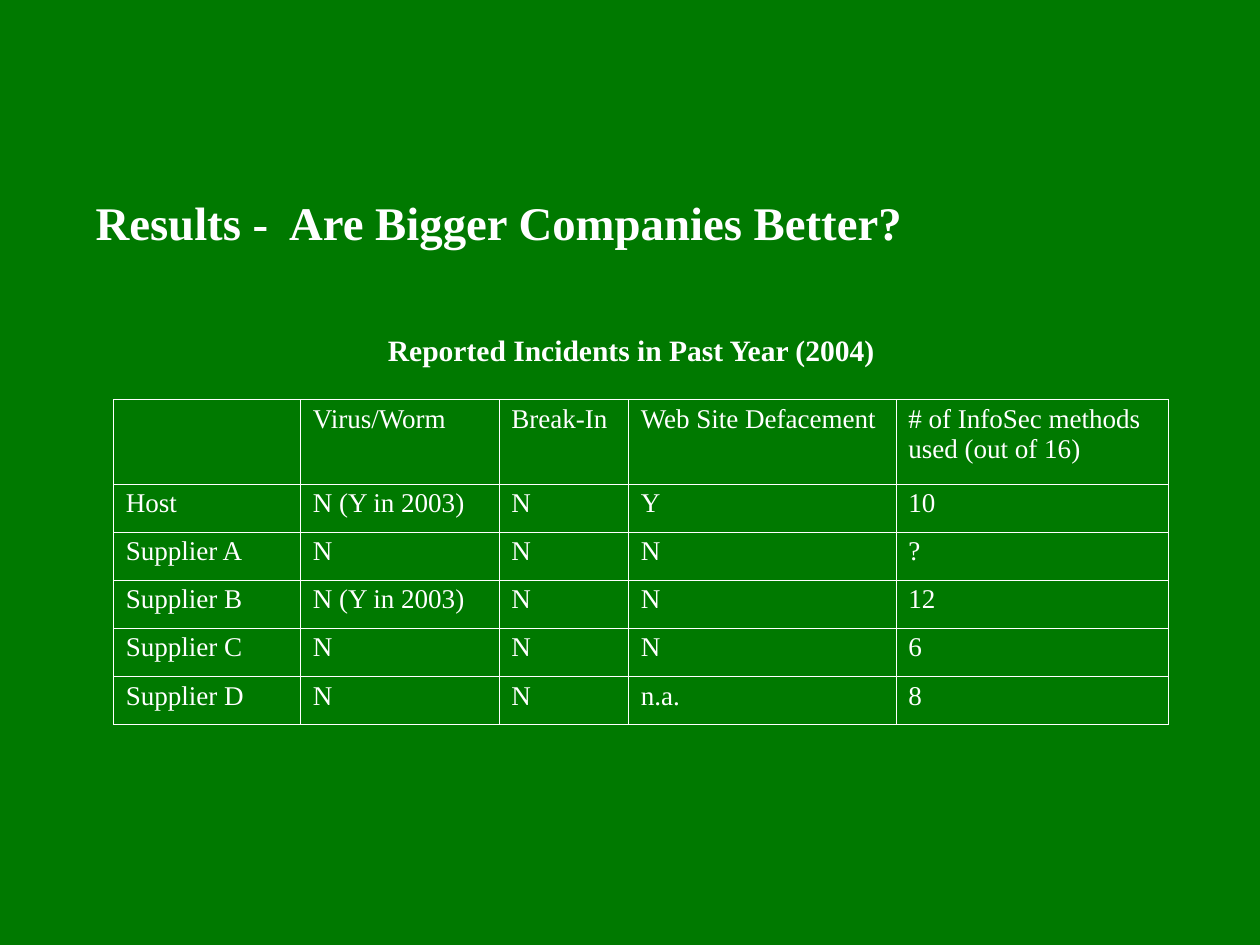
from dataclasses import dataclass

from lxml import etree
from pptx import Presentation
from pptx.dml.color import RGBColor
from pptx.enum.text import MSO_ANCHOR
from pptx.oxml.ns import qn
from pptx.slide import Slide
from pptx.table import _Cell
from pptx.text.text import TextFrame
from pptx.util import Cm, Pt

TOP = MSO_ANCHOR.TOP
FONT = "Times New Roman"
WHITE = "FFFFFF"
GREEN = "007900"
OUTER_LINE = Pt(1.08)
INNER_LINE = Pt(0.45)

COLUMN_WIDTHS = [5.36, 5.69, 3.71, 7.67, 7.82]
ROW_HEIGHTS = [2.41] + [1.38] * 5
INCIDENTS = [
    ["", "Virus/Worm", "Break-In", "Web Site Defacement", "# of InfoSec methods used (out of 16)"],
    ["Host", "N (Y in 2003)", "N", "Y", "10"],
    ["Supplier A", "N", "N", "N", "?"],
    ["Supplier B", "N (Y in 2003)", "N", "N", "12"],
    ["Supplier C", "N", "N", "N", "6"],
    ["Supplier D", "N", "N", "n.a.", "8"],
]


@dataclass
class Heading:
    text: str
    left: float
    top: float
    width: float
    height: float
    size: int


HEADINGS = [
    Heading("Results -  Are Bigger Companies Better?", 2.59, 5.44, 31.22, 1.93, 38),
    Heading("Reported Incidents in Past Year (2004)", 10.97, 9.42, 15.32, 1.37, 24),
]


def color(value: str) -> RGBColor:
    return RGBColor.from_string(value)


def write(frame: TextFrame, text: str, size: int, bold: bool) -> None:
    frame.text = text
    font = frame.paragraphs[0].font
    font.size = Pt(size)
    for span in frame.paragraphs[0].runs:
        span.font.name = FONT
        span.font.size = Pt(size)
        span.font.bold = bold
        span.font.color.rgb = color(WHITE)


def add_heading(page: Slide, heading: Heading) -> None:
    box = page.shapes.add_textbox(
        Cm(heading.left), Cm(heading.top), Cm(heading.width), Cm(heading.height)
    )
    frame = box.text_frame
    frame.word_wrap = True
    frame.vertical_anchor = TOP
    frame.margin_left = frame.margin_right = Cm(0.15)
    frame.margin_top = Cm(0.1)
    frame.margin_bottom = 0
    write(frame, heading.text, heading.size, True)


def add_borders(cell: _Cell, outer_sides: dict[str, bool]) -> None:
    properties = cell._tc.get_or_add_tcPr()
    for side, is_outer in outer_sides.items():
        width = OUTER_LINE if is_outer else INNER_LINE
        line = etree.SubElement(properties, qn(f"a:ln{side}"), w=str(int(width)))
        fill = etree.SubElement(line, qn("a:solidFill"))
        etree.SubElement(fill, qn("a:srgbClr"), val=WHITE)


def add_incident_table(page: Slide, left: float, top: float) -> None:
    row_count, column_count = len(ROW_HEIGHTS), len(COLUMN_WIDTHS)
    frame = page.shapes.add_table(
        row_count, column_count, Cm(left), Cm(top),
        Cm(sum(COLUMN_WIDTHS)), Cm(sum(ROW_HEIGHTS)),
    )
    table = frame.table
    table.first_row = False
    table.horz_banding = False
    for column, width in zip(table.columns, COLUMN_WIDTHS):
        column.width = Cm(width)
    for row, height in zip(table.rows, ROW_HEIGHTS):
        row.height = Cm(height)
    for row_index, values in enumerate(INCIDENTS):
        for column_index, value in enumerate(values):
            cell = table.cell(row_index, column_index)
            cell.margin_left = Cm(0.36)
            cell.margin_right = Cm(0.2)
            cell.margin_top = cell.margin_bottom = Cm(0.13)
            cell.vertical_anchor = TOP
            add_borders(cell, {
                "L": column_index == 0,
                "R": column_index == column_count - 1,
                "T": row_index == 0,
                "B": row_index == row_count - 1,
            })
            cell.fill.background()
            write(cell.text_frame, value, 22, False)


def main() -> None:
    deck = Presentation()
    deck.slide_width = Cm(36.12)
    deck.slide_height = Cm(27.08)
    page = deck.slides.add_slide(deck.slide_layouts[6])
    page.background.fill.solid()
    page.background.fill.fore_color.rgb = color(GREEN)
    title, caption = HEADINGS
    add_heading(page, title)
    add_incident_table(page, 3.25, 11.46)
    add_heading(page, caption)
    deck.save("out.pptx")


if __name__ == "__main__":
    main()
